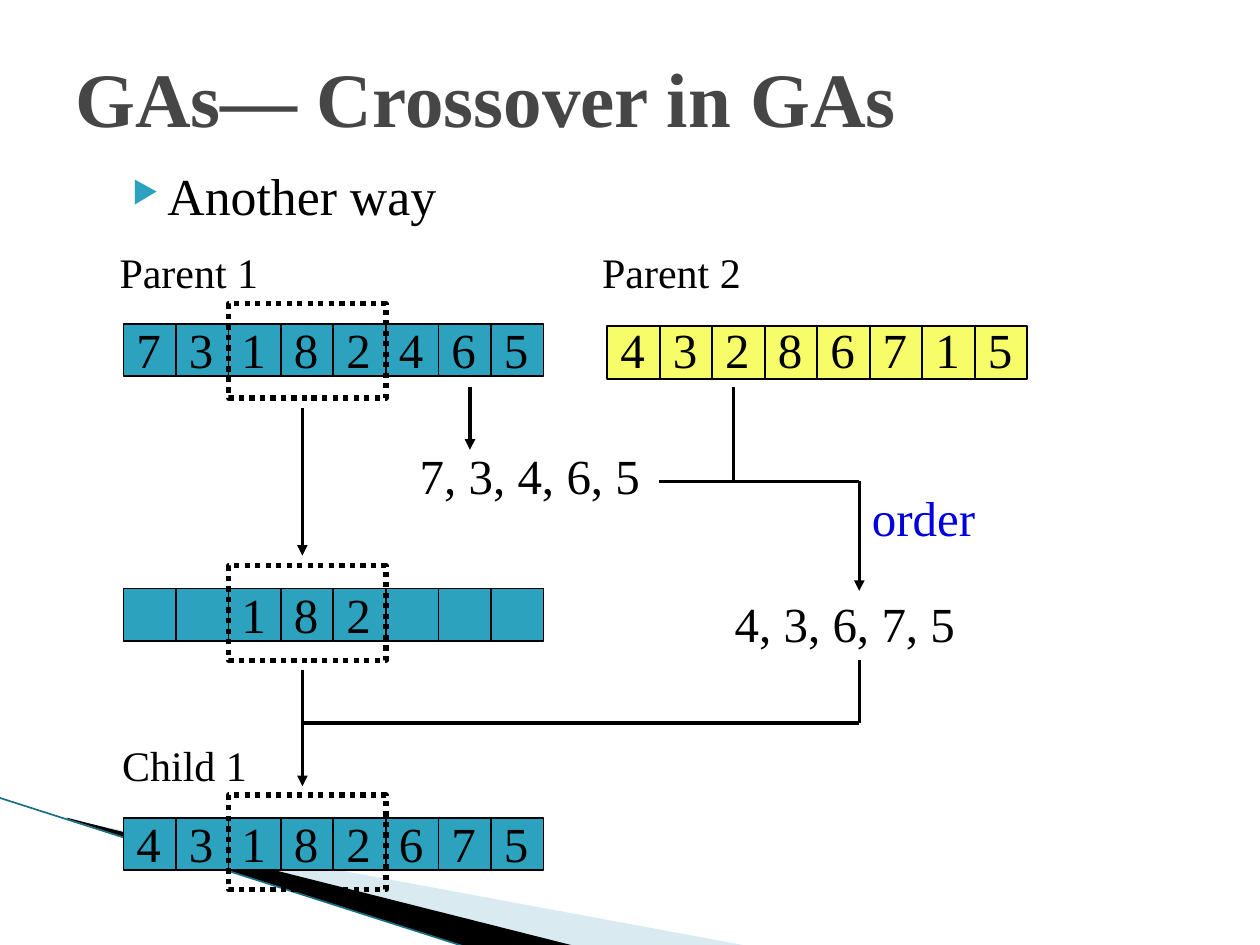
from lxml import etree
from pptx import Presentation
from pptx.dml.color import RGBColor
from pptx.enum.dml import MSO_LINE
from pptx.enum.shapes import MSO_CONNECTOR, MSO_SHAPE
from pptx.enum.text import MSO_ANCHOR, PP_ALIGN
from pptx.oxml.ns import qn
from pptx.util import Inches, Pt

FONT = "Times New Roman"
BLACK = RGBColor(0x00, 0x00, 0x00)
GREY = RGBColor(0x46, 0x46, 0x46)
TEAL = RGBColor(0x2D, 0xA2, 0xBF)
DARK_TEAL = RGBColor(0x1B, 0x6F, 0x85)
PALE = RGBColor(0xA0, 0xCB, 0xDC)
YELLOW = RGBColor(0xF6, 0xFD, 0x69)
BLUE = RGBColor(0x00, 0x00, 0xDE)
CENTER, LEFT = PP_ALIGN.CENTER, PP_ALIGN.LEFT
MIDDLE, TOP = MSO_ANCHOR.MIDDLE, MSO_ANCHOR.TOP
STRAIGHT, RECT, DOTTED = MSO_CONNECTOR.STRAIGHT, MSO_SHAPE.RECTANGLE, MSO_LINE.ROUND_DOT

# Grid of the gene rows, in inches
CELL = 1.25 / 3
LEFT_X, RIGHT_X = 0.98, 4.82
DIGIT_W, DIGIT_H = 0.4, 0.57
WINDOW_COL, WINDOW_SPAN, WINDOW_H = 2, 3, 0.75

# Content: genes, left, cell top, digit top, colour
CHROMOSOMES = [
    ("73182465", LEFT_X, 2.57, 2.49, TEAL),
    ("43286715", RIGHT_X, 2.59, 2.49, YELLOW),
    ("  182   ", LEFT_X, 4.67, 4.59, TEAL),
    ("43182675", LEFT_X, 6.49, 6.41, TEAL),
]
WINDOW_TOPS = [2.41, 4.49, 6.31]

# Text, box, size, colour
LABELS = [
    ("7, 3, 4, 6, 5", (3.23, 3.49, 1.95, 0.57), 28, BLACK),
    ("4, 3, 6, 7, 5", (5.73, 4.66, 1.95, 0.57), 28, BLACK),
    ("order", (6.82, 3.82, 1.02, 0.57), 28, BLUE),
    ("Parent 1", (0.85, 1.91, 1.3, 0.5), 24, BLACK),
    ("Parent 2", (4.68, 1.91, 1.3, 0.5), 24, BLACK),
    ("Child 1", (0.87, 5.82, 1.19, 0.5), 24, BLACK),
]

# Flow lines: from x, y to x, y
COPY_X, ORDER_X = 2.4, 6.82
ARROWS = [
    (COPY_X, 3.24, COPY_X, 4.41),
    (3.73, 3.07, 3.73, 3.57),
    (ORDER_X, 3.82, ORDER_X, 4.69),
    (COPY_X, 5.32, COPY_X, 6.24),
]
JOINS = [
    (5.82, 3.07, 5.82, 3.82),
    (5.23, 3.82, ORDER_X, 3.82),
    (COPY_X, 5.74, ORDER_X, 5.74),
    (ORDER_X, 5.24, ORDER_X, 5.74),
]

# Corner wedges: outline, colour, opacity in percent
WEDGES = [
    ([(0.55, 6.51), (5.95, 7.51), (4.56, 7.51), (0.55, 6.5)], PALE, 40),
    ([(0.53, 6.49), (4.57, 7.51), (3.72, 7.52), (0.54, 6.5)], BLACK, 100),
]


def add_text(shapes, text, box, size, color=BLACK, align=CENTER, anchor=TOP,
             wrap=False, bold=False):
    tf = shapes.add_textbox(*map(Inches, box)).text_frame
    tf.word_wrap = wrap
    tf.vertical_anchor = anchor
    p = tf.paragraphs[0]
    p.alignment = align
    r = p.add_run()
    r.text = text
    for name, value in {"name": FONT, "size": Pt(size), "bold": bold}.items():
        setattr(r.font, name, value)
    r.font.color.rgb = color
    return p


def add_bullet(p, indent, hang):
    pPr = p._p.get_or_add_pPr()
    pPr.set("marL", str(Inches(indent)))
    pPr.set("indent", str(-Inches(hang)))
    color = etree.SubElement(pPr, qn("a:buClr"))
    etree.SubElement(color, qn("a:srgbClr"), val=str(TEAL))
    etree.SubElement(pPr, qn("a:buSzPct"), val="58000")
    etree.SubElement(pPr, qn("a:buChar"), char="▶")


def add_line(shapes, ends, color=BLACK, width=2, arrow=False):
    line = shapes.add_connector(STRAIGHT, *map(Inches, ends))
    line.line.color.rgb = color
    line.line.width = Pt(width)
    if arrow:
        etree.SubElement(line.line._get_or_add_ln(), qn("a:tailEnd"), type="triangle")
    etree.SubElement(line._element.spPr, qn("a:effectLst"))


def add_rect(shapes, box, width, fill=None):
    sp = shapes.add_shape(RECT, *map(Inches, box))
    sp.shadow.inherit = False
    if fill is None:
        sp.fill.background()
    else:
        sp.fill.solid()
        sp.fill.fore_color.rgb = fill
    sp.line.color.rgb = BLACK
    sp.line.width = Pt(width)
    return sp


def add_wedge(shapes, points, color, opacity):
    # The builder rounds its coordinates to integers, so give it EMU
    start, *rest = [(Inches(x), Inches(y)) for x, y in points]
    builder = shapes.build_freeform(*start)
    builder.add_line_segments(rest)
    sp = builder.convert_to_shape()
    sp.shadow.inherit = False
    sp.line.fill.background()
    sp.fill.solid()
    sp.fill.fore_color.rgb = color
    if opacity < 100:
        clr = sp._element.spPr.find(qn("a:solidFill"))[0]
        etree.SubElement(clr, qn("a:alpha"), val=str(opacity * 1000))


def add_chromosome(shapes, genes, left, cell_top, digit_top, color):
    group = shapes.add_group_shape().shapes
    columns = [(left + i * CELL, gene) for i, gene in enumerate(genes)]
    for x, _ in columns:
        add_rect(group, (x, cell_top, CELL, CELL), 1, color)
    for x, gene in columns:
        if gene != " ":
            add_text(group, gene, (x, digit_top, DIGIT_W, DIGIT_H), 28)


def main():
    prs = Presentation()
    prs.slide_width, prs.slide_height = Inches(10), Inches(7.5)
    s = prs.slides.add_slide(prs.slide_layouts[6]).shapes

    # Corner decoration
    for wedge in WEDGES:
        add_wedge(s, *wedge)
    add_line(s, (-0.01, 6.33, 3.71, 7.52), DARK_TEAL, 0.95)

    # Heading and bullet
    add_text(s, "GAs— Crossover in GAs", (0.5, 0.3, 9, 0.93), 44, GREY,
             LEFT, MIDDLE, wrap=True, bold=True)
    p = add_text(s, "Another way", (0.83, 1.31, 8.51, 0.55), 29.6,
                 align=LEFT, wrap=True)
    p.line_spacing = 0.9
    add_bullet(p, 0.4, 0.28)

    # Gene rows and the copied section
    for chromosome in CHROMOSOMES:
        add_chromosome(s, *chromosome)
    for top in WINDOW_TOPS:
        box = (LEFT_X + WINDOW_COL * CELL, top, WINDOW_SPAN * CELL, WINDOW_H)
        add_rect(s, box, 3).line.dash_style = DOTTED

    # Flow and labels
    for ends in ARROWS:
        add_line(s, ends, arrow=True)
    for ends in JOINS:
        add_line(s, ends)
    for label in LABELS:
        add_text(s, *label)

    prs.save("out.pptx")


if __name__ == "__main__":
    main()
